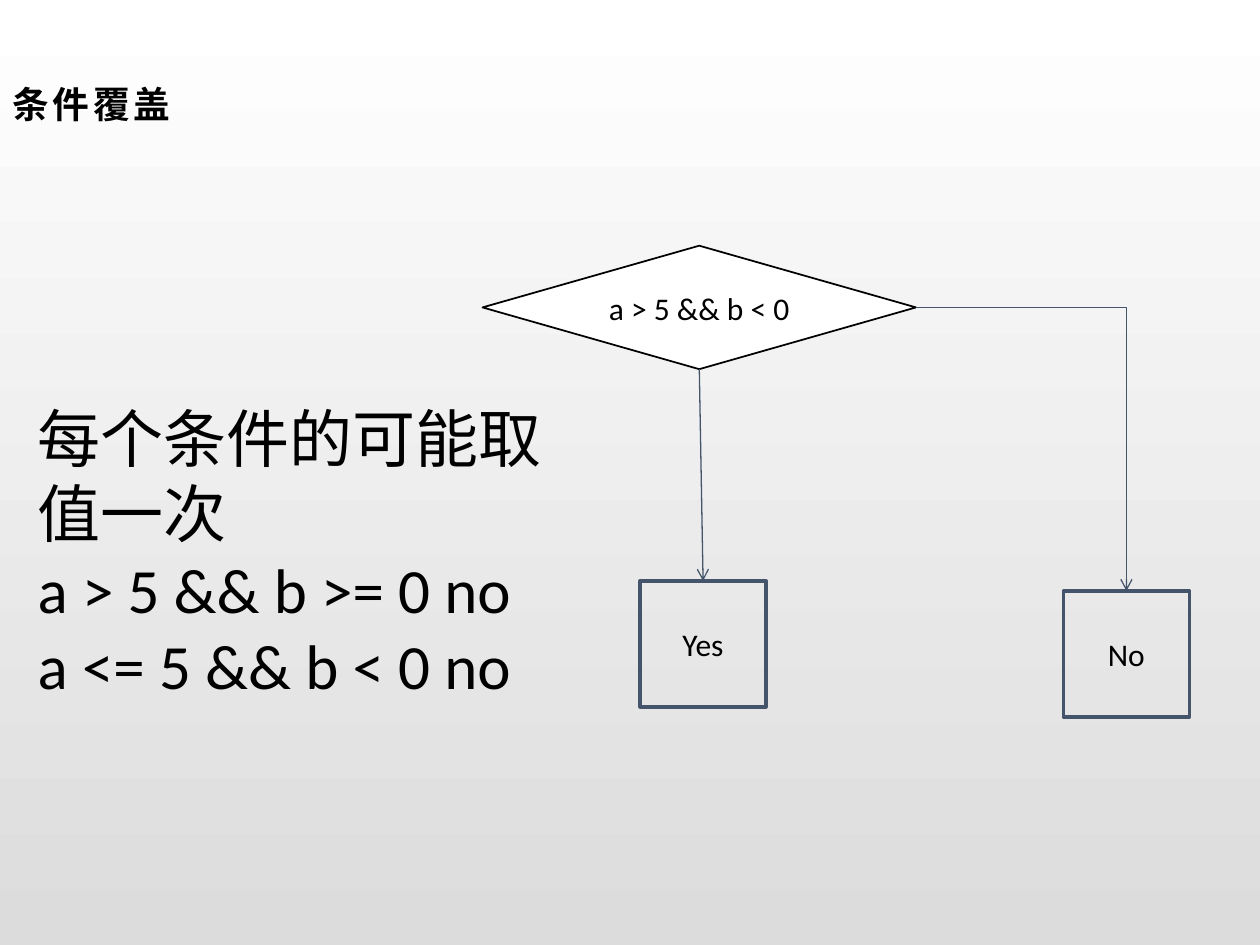
import pptx
import pptx.util
import pptx.dml.color
import pptx.enum.shapes
import pptx.enum.text
import pptx.oxml
import pptx.oxml.ns
from lxml import etree

Inches, Pt = pptx.util.Inches, pptx.util.Pt
Color = pptx.dml.color.RGBColor.from_string
Kind = pptx.enum.shapes.MSO_SHAPE
Wire = pptx.enum.shapes.MSO_CONNECTOR
Align = pptx.enum.text.PP_ALIGN
Anchor = pptx.enum.text.MSO_ANCHOR
qn = pptx.oxml.ns.qn

# Content
TITLE = "条件覆盖"
NOTES = ["每个条件的可能取值一次", "a > 5 && b >= 0 no", "a <= 5 && b < 0 no"]
# name: text, preset, (left, top, width, height), fill, line, line width
NODES = {
    "test": ("a > 5 && b < 0", Kind.FLOWCHART_DECISION,
             (3.83, 1.95, 3.44, 0.98), "paper", "ink", 1),
    "yes": ("Yes", Kind.RECTANGLE, (5.08, 4.61, 1, 1), None, "slate", 2),
    "no": ("No", Kind.RECTANGLE, (8.44, 4.69, 1, 1), None, "slate", 2),
}
# from, site, to, site, type, preset
LINKS = [
    ("test", 2, "yes", 0, Wire.STRAIGHT, "line"),
    ("test", 3, "no", 0, Wire.ELBOW, "bentConnector2"),
]
THEME = {
    "ink": "000000", "paper": "FFFFFF", "slate": "44546A", "shade": "DCDCDC",
    "font": "Calibri", "head": "Noto Sans CJK SC",
    "title": 21, "body": 36, "label": 18, "wire": 0.75,
}


def style(font, size, face="font"):
    font.size = Pt(THEME[size])
    font.name = THEME[face]
    font.color.rgb = Color(THEME["ink"])


def place(shape, box):
    shape.left, shape.top, shape.width, shape.height = map(Inches, box)


deck = pptx.Presentation()
deck.slide_width, deck.slide_height = Inches(10), Inches(7.5)
slide = deck.slides.add_slide(deck.slide_layouts[5])

# Background, shading from top to bottom
fill = slide.background.fill
fill.gradient()
fill.gradient_angle = 270
for stop, name in zip(fill.gradient_stops, ("paper", "shade")):
    stop.color.rgb = Color(THEME[name])

# Title
title = slide.shapes.title
place(title, (0, 0.47, 8.9, 0.71))
title.text_frame.vertical_anchor = Anchor.MIDDLE
para = title.text_frame.paragraphs[0]
para.alignment = Align.LEFT
run = para.add_run()
run.text = TITLE
style(run.font, "title", "head")
run.font.bold = True
props = run._r.get_or_add_rPr()
props.set("spc", "200")
etree.SubElement(props, qn("a:ea")).set("typeface", THEME["head"])

# Flowchart nodes
nodes = {}
for name, (text, kind, box, back, edge, width) in NODES.items():
    node = slide.shapes.add_shape(kind, *map(Inches, box))
    node.shadow.inherit = False
    if back:
        node.fill.solid()
        node.fill.fore_color.rgb = Color(THEME[back])
    else:
        node.fill.background()
    node.line.color.rgb = Color(THEME[edge])
    node.line.width = Pt(width)
    frame = node.text_frame
    frame.vertical_anchor = Anchor.MIDDLE
    para = frame.paragraphs[0]
    para.text = text
    para.alignment = Align.CENTER
    style(para.font, "label")
    nodes[name] = node

# Arrows
for start, exit_at, end, enter_at, kind, preset in LINKS:
    link = slide.shapes.add_connector(kind, 0, 0, 0, 0)
    link.begin_connect(nodes[start], exit_at)
    link.end_connect(nodes[end], enter_at)
    link.line.color.rgb = Color(THEME["slate"])
    link.line.width = Pt(THEME["wire"])
    shape = link._element.spPr
    shape.find(qn("a:prstGeom")).set("prst", preset)
    etree.SubElement(shape.find(qn("a:ln")), qn("a:tailEnd")).set("type", "arrow")
    etree.SubElement(shape, qn("a:effectLst"))

# Notes
notes = slide.shapes.add_textbox(*map(Inches, (0.2, 3.12, 4.25, 3.7)))
frame = notes.text_frame
frame.word_wrap = True
for i, text in enumerate(NOTES):
    para = frame.add_paragraph() if i else frame.paragraphs[0]
    para.text = text
    style(para.font, "body")

deck.save("out.pptx")
